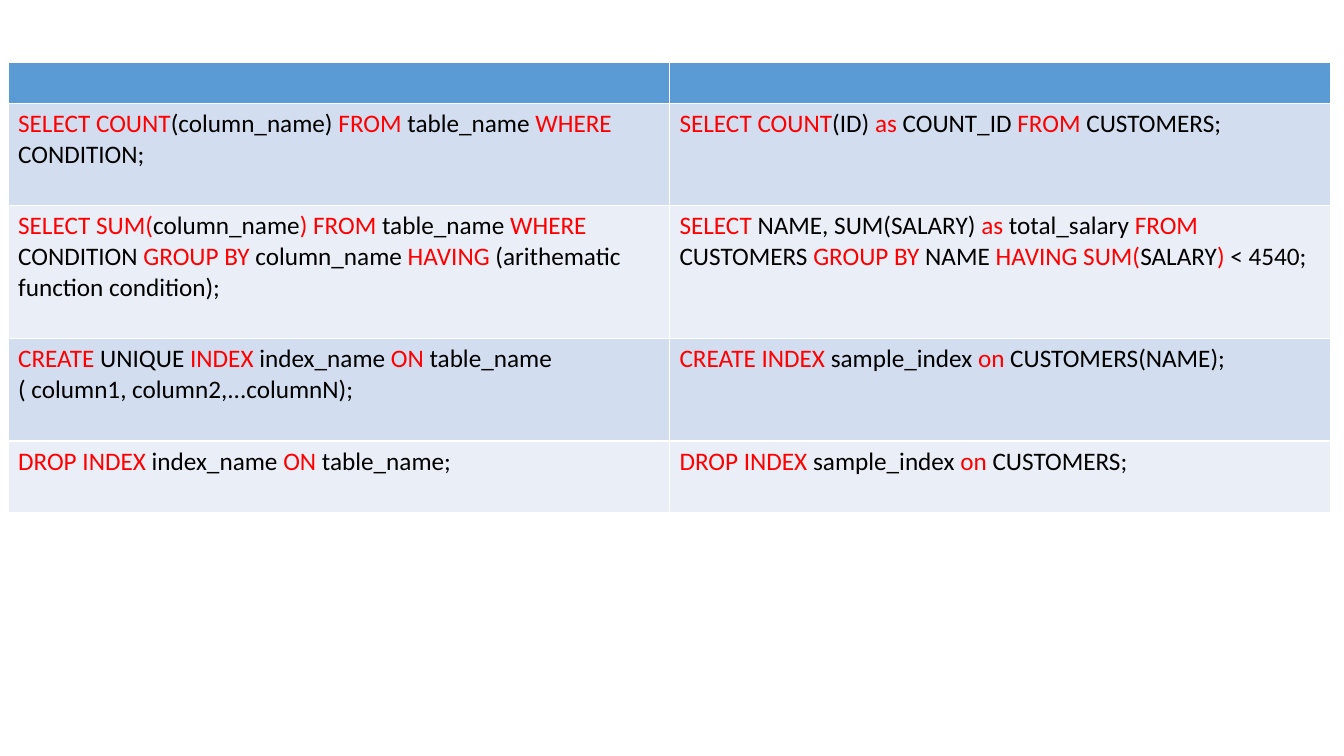
import pptx
import pptx.dml.color
import pptx.util

RGBColor = pptx.dml.color.RGBColor
Inches = pptx.util.Inches

HEADER_BLUE = RGBColor(0x5B, 0x9B, 0xD5)
BAND_DARK = RGBColor(0xD2, 0xDE, 0xEF)
BAND_LIGHT = RGBColor(0xEA, 0xEF, 0xF7)
KEYWORD_RED = RGBColor(0xFF, 0x00, 0x00)
PLAIN_BLACK = RGBColor(0x00, 0x00, 0x00)

SLIDE_WIDTH, SLIDE_HEIGHT = 13.33, 7.5
TABLE_LEFT, TABLE_TOP, COLUMN_WIDTH = 0.08, 0.62, 6.56
LINE_HEIGHT, CELL_PADDING = 0.305, 0.1
CODE_FORMAT = {"name": "Calibri", "size": pptx.util.Pt(18), "bold": False}

# Height in text lines, syntax, example; "|" switches between keyword and plain text.
STATEMENTS = [
    (3, "SELECT COUNT|(column_name) |FROM |table_name |WHERE| CONDITION;",
     "SELECT COUNT|(ID) |as| COUNT_ID |FROM| CUSTOMERS;"),
    (4, "SELECT SUM(|column_name|) FROM |table_name |WHERE| CONDITION "
        "|GROUP BY |column_name |HAVING| (arithematic function condition);",
     "SELECT| NAME, SUM(SALARY) |as |total_salary |FROM |CUSTOMERS "
     "|GROUP BY |NAME |HAVING SUM(|SALARY|)| < 4540;"),
    (3, "CREATE |UNIQUE |INDEX |index_name |ON "
        "|table_name ( column1, column2,...columnN);",
     "CREATE INDEX |sample_index |on| CUSTOMERS(NAME);"),
    (2, "DROP INDEX |index_name |ON |table_name;",
     "DROP INDEX |sample_index |on| CUSTOMERS;"),
]


def row_height(lines):
    return Inches(lines * LINE_HEIGHT + CELL_PADDING)


def fill_cell(cell, color):
    cell.fill.solid()
    cell.fill.fore_color.rgb = color


def write_code(cell, code):
    """Write code in alternating keyword and plain runs, keyword first."""
    paragraph = cell.text_frame.paragraphs[0]
    for position, fragment in enumerate(code.split("|")):
        run = paragraph.add_run()
        run.text = fragment
        for attribute, value in CODE_FORMAT.items():
            setattr(run.font, attribute, value)
        run.font.color.rgb = PLAIN_BLACK if position % 2 else KEYWORD_RED


def add_statement_table(slide):
    heights = [row_height(lines) for lines in [1] + [s[0] for s in STATEMENTS]]
    table = slide.shapes.add_table(
        len(heights), 2, Inches(TABLE_LEFT), Inches(TABLE_TOP),
        Inches(2 * COLUMN_WIDTH), sum(heights)).table
    for column in table.columns:
        column.width = Inches(COLUMN_WIDTH)
    for row, height in zip(table.rows, heights):
        row.height = height
    for header in table.rows[0].cells:
        fill_cell(header, HEADER_BLUE)
    for number, (_, *codes) in enumerate(STATEMENTS, start=1):
        for cell, code in zip(table.rows[number].cells, codes):
            fill_cell(cell, BAND_DARK if number % 2 else BAND_LIGHT)
            write_code(cell, code)


def main():
    presentation = pptx.Presentation()
    presentation.slide_width = Inches(SLIDE_WIDTH)
    presentation.slide_height = Inches(SLIDE_HEIGHT)
    blank_layout = presentation.slide_layouts[6]
    add_statement_table(presentation.slides.add_slide(blank_layout))
    presentation.save("out.pptx")


if __name__ == "__main__":
    main()
